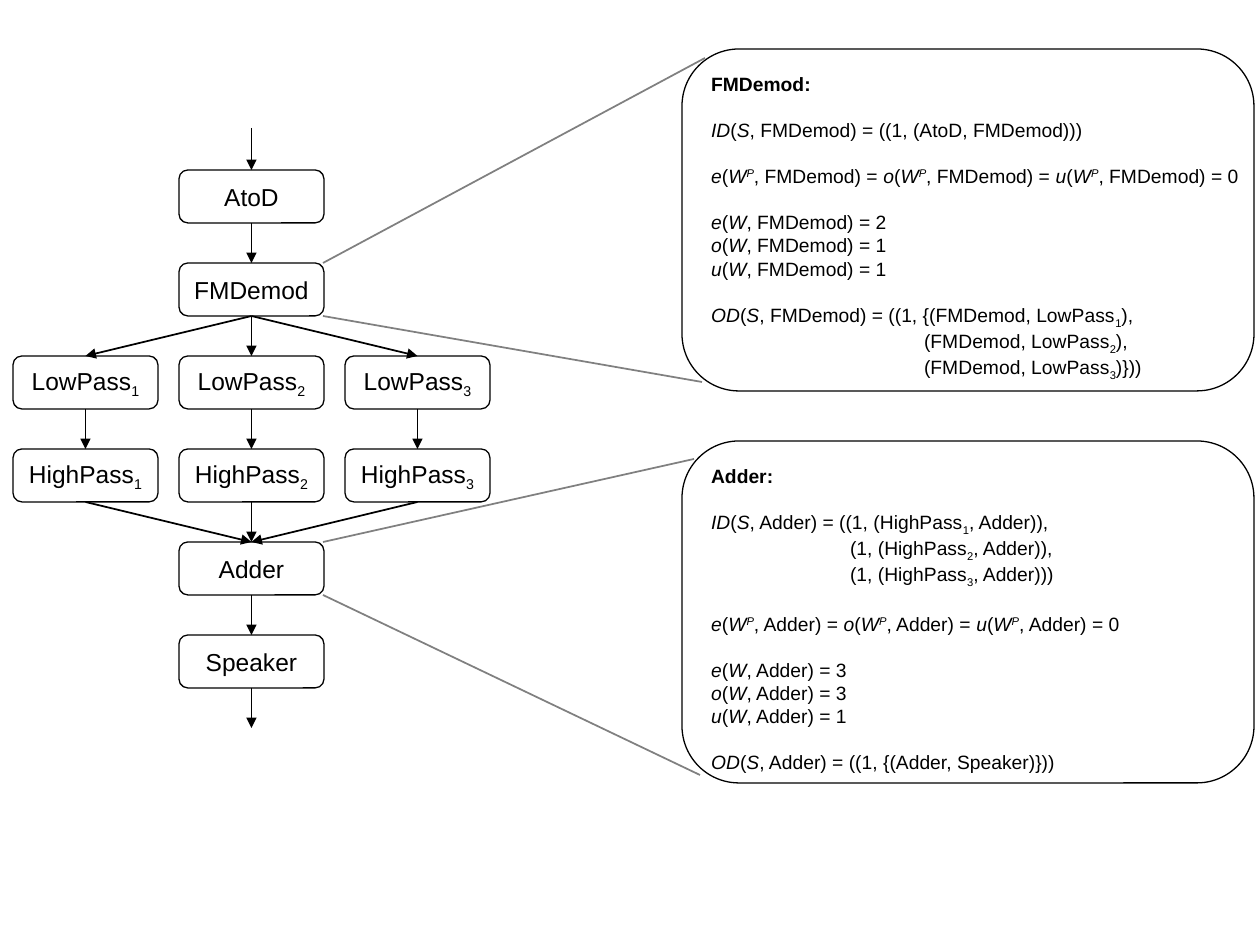
from lxml import etree
from pptx import Presentation
from pptx.dml.color import RGBColor
from pptx.enum.shapes import MSO_CONNECTOR, MSO_SHAPE
from pptx.enum.text import MSO_ANCHOR, PP_ALIGN
from pptx.oxml.ns import qn
from pptx.util import Emu, Pt

ROUNDED, STRAIGHT = MSO_SHAPE.ROUNDED_RECTANGLE, MSO_CONNECTOR.STRAIGHT
TOP, MIDDLE = MSO_ANCHOR.TOP, MSO_ANCHOR.MIDDLE
LEFT, CENTER = PP_ALIGN.LEFT, PP_ALIGN.CENTER
SITE_TOP, SITE_BOTTOM = 0, 2
PX = 914400 / 126
BLACK, GRAY = "000000", "808080"

prs = Presentation()
prs.slide_width, prs.slide_height = Emu(round(1260 * PX)), Emu(round(945 * PX))
slide = prs.slides.add_slide(prs.slide_layouts[6])


def add_box(x, y, w, h, lines, size, align, anchor):
    """Each line is (markup, indent px, space before pt).
    In markup * toggles italic, _ subscript, ^ superscript, # bold."""
    box = slide.shapes.add_shape(ROUNDED, *(Emu(round(n * PX)) for n in (x, y, w, h)))
    box.shadow.inherit = False
    box.fill.background()
    box.line.color.rgb = RGBColor.from_string(BLACK)
    box.line.width = Pt(0.75)
    frame = box.text_frame
    frame.word_wrap = False
    frame.vertical_anchor = anchor
    for i, (markup, indent, before) in enumerate(lines):
        para = frame.paragraphs[0] if i == 0 else frame.add_paragraph()
        para.alignment = align
        para.space_before = Pt(before)
        if indent:
            para._p.get_or_add_pPr().set("marL", str(round(indent * PX)))
        active, piece = set(), ""
        for char in markup + "\n":
            if char not in "*_^#\n":
                piece += char
                continue
            if piece:
                run = para.add_run()
                run.text = piece
                font = run.font
                font.name, font.size = "Arial", Pt(size)
                font.color.rgb = RGBColor.from_string(BLACK)
                font.bold, font.italic = "#" in active, "*" in active
                if "_" in active:
                    font._element.set("baseline", "-25000")
                elif "^" in active:
                    font._element.set("baseline", "30000")
                piece = ""
            active ^= {char}
    return box


def add_line(start, end, color, arrow=False):
    line = slide.shapes.add_connector(STRAIGHT, *(Emu(round(n * PX)) for n in start + end))
    line.line.color.rgb = RGBColor.from_string(color)
    line.line.width = Pt(1)
    if arrow:
        etree.SubElement(line.line._get_or_add_ln(), qn("a:tailEnd"), type="triangle")
    etree.SubElement(line._element.spPr, qn("a:effectLst"))
    return line


# Stream graph: nodes on a grid of three columns and six rows
NODE_W, NODE_H = 145, 53
COL_X = [13, 179, 345]
ROW_Y = [170 + 93 * row for row in range(6)]
CENTER_X = COL_X[1] + NODE_W / 2
stages = [["AtoD"], ["FMDemod"],
          [f"LowPass_{n}_" for n in (1, 2, 3)],
          [f"HighPass_{n}_" for n in (1, 2, 3)],
          ["Adder"], ["Speaker"]]
nodes = []
for y, labels in zip(ROW_Y, stages):
    columns = COL_X if len(labels) == 3 else COL_X[1:2]
    nodes.append([add_box(x, y, NODE_W, NODE_H, [(label, 0, 0)], 14, CENTER, MIDDLE)
                  for x, label in zip(columns, labels)])

# Arrows between neighbouring stages: one to one, fan out or fan in
for upper, lower in zip(nodes, nodes[1:]):
    count = max(len(upper), len(lower))
    for i in range(count):
        arrow = add_line((0, 0), (0, 0), BLACK, arrow=True)
        arrow.begin_connect(upper[i % len(upper)], SITE_BOTTOM)
        arrow.end_connect(lower[i % len(lower)], SITE_TOP)

# Stream input and output
entry = add_line((CENTER_X, 128), (CENTER_X, ROW_Y[0]), BLACK, arrow=True)
entry.end_connect(nodes[0][0], SITE_TOP)
leave = add_line((CENTER_X, ROW_Y[5] + NODE_H), (CENTER_X, 728), BLACK, arrow=True)
leave.begin_connect(nodes[5][0], SITE_BOTTOM)

# Detail panels
GAP = 13.2
fm_demod = [
    ("#FMDemod:#", 0, 0),
    ("*ID*(*S*, FMDemod) = ((1, (AtoD, FMDemod)))", 0, GAP),
    (" = ".join(f"*{f}*(*W^P^*, FMDemod)" for f in "eou") + " = 0", 0, GAP),
    ("*e*(*W*, FMDemod) = 2", 0, GAP),
    ("*o*(*W*, FMDemod) = 1", 0, 0),
    ("*u*(*W*, FMDemod) = 1", 0, 0),
    ("*OD*(*S*, FMDemod) = ((1, {(FMDemod, LowPass_1_),", 0, GAP),
    ("(FMDemod, LowPass_2_),", 213, 0),
    ("(FMDemod, LowPass_3_)}))", 213, 0),
]
adder = [
    ("#Adder:#", 0, 0),
    ("*ID*(*S*, Adder) = ((1, (HighPass_1_, Adder)),", 0, GAP),
    ("(1, (HighPass_2_, Adder)),", 139, 0),
    ("(1, (HighPass_3_, Adder)))", 139, 0),
    (" = ".join(f"*{f}*(*W^P^*, Adder)" for f in "eou") + " = 0", 0, GAP),
    ("*e*(*W*, Adder) = 3", 0, GAP),
    ("*o*(*W*, Adder) = 3", 0, 0),
    ("*u*(*W*, Adder) = 1", 0, 0),
    ("*OD*(*S*, Adder) = ((1, {(Adder, Speaker)}))", 0, GAP),
]
for y, lines in ((49, fm_demod), (441, adder)):
    add_box(682, y, 572, 342, lines, 11, LEFT, TOP)

# Callout lines from the node corners to the panels
NODE_RIGHT = COL_X[1] + NODE_W - 1
for row, upper_end, lower_end in ((1, (705, 58), (702, 382)),
                                  (4, (694, 459), (700, 775))):
    add_line((NODE_RIGHT, ROW_Y[row]), upper_end, GRAY)
    add_line((NODE_RIGHT, ROW_Y[row] + NODE_H), lower_end, GRAY)

prs.save("out.pptx")
